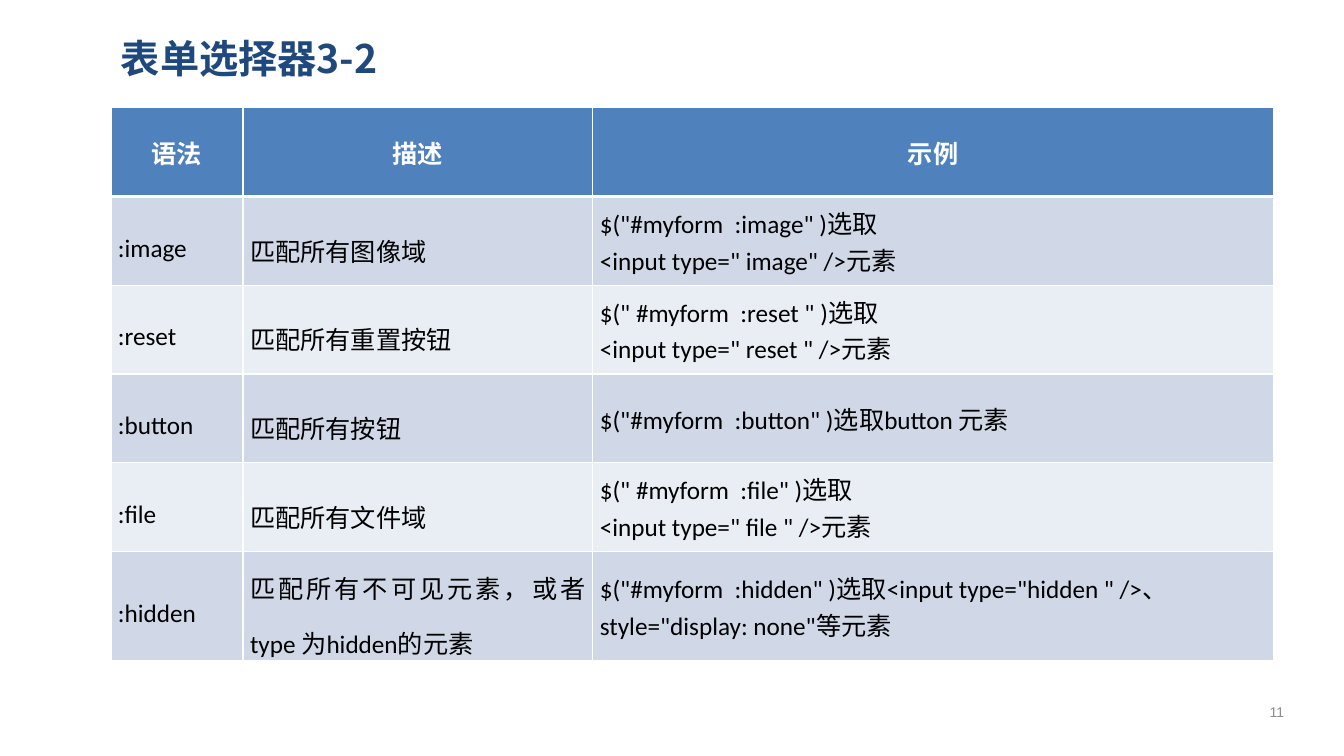
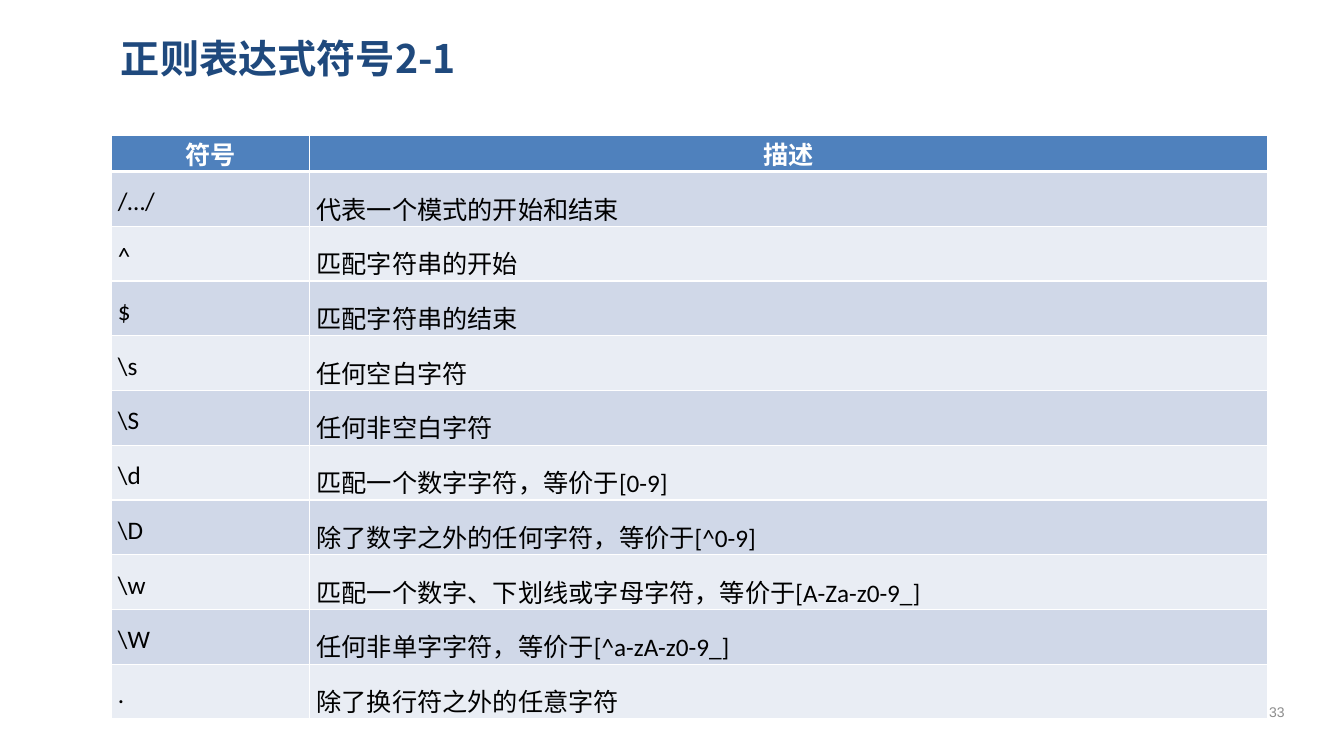
from dataclasses import dataclass

from lxml import etree
from pptx import Presentation
from pptx.dml.color import RGBColor
from pptx.enum.text import MSO_ANCHOR, PP_ALIGN
from pptx.oxml.ns import qn
from pptx.util import Inches, Pt

LEFT, CENTER, JUSTIFY = PP_ALIGN.LEFT, PP_ALIGN.CENTER, PP_ALIGN.JUSTIFY
TOP, MIDDLE = MSO_ANCHOR.TOP, MSO_ANCHOR.MIDDLE
TITLE_ONLY = 5


@dataclass(frozen=True)
class Theme:
    title_color: str = "1F497D"
    header_fill: str = "4F81BD"
    band_fills: tuple = ("D0D8E8", "E9EDF4")
    white: str = "FFFFFF"
    body_color: str = "000000"
    number_color: str = "8C8C8C"
    asian_font: str = "Noto Sans CJK SC"
    table_font: str = "Calibri"
    number_font: str = "Arial"
    title_size: int = 28
    table_size: int = 18
    number_size: int = 10
    thin_border: int = 1
    thick_border: int = 3


THEME = Theme()

# Character formats
TITLE_TEXT = {"name": THEME.asian_font, "size": Pt(THEME.title_size),
              "bold": True, "color": THEME.title_color}
HEADER_TEXT = {"name": THEME.table_font, "size": Pt(THEME.table_size),
               "bold": True, "color": THEME.white}
BODY_TEXT = {**HEADER_TEXT, "bold": False, "color": THEME.body_color}
NUMBER_TEXT = {"name": THEME.number_font, "size": Pt(THEME.number_size),
               "bold": False, "color": THEME.number_color}

# Paragraph formats
HEADER_PARAGRAPH = {"alignment": CENTER}
SPACED_PARAGRAPH = {"alignment": JUSTIFY, "line_spacing": 1.5}
EXAMPLE_PARAGRAPH = {"alignment": LEFT}

# Table contents
FORM_SELECTORS = [
    ("语法", "描述", "示例"),
    (":image", "匹配所有图像域",
     '$("#myform  :image" )选取\n<input type=" image" />元素'),
    (":reset", "匹配所有重置按钮",
     '$(" #myform  :reset " )选取\n<input type=" reset " />元素'),
    (":button", "匹配所有按钮", '$("#myform  :button" )选取button 元素'),
    (":file", "匹配所有文件域",
     '$(" #myform  :file" )选取\n<input type=" file " />元素'),
    (":hidden", "匹配所有不可见元素，或者type 为hidden的元素",
     '$("#myform  :hidden" )选取<input type="hidden " />、'
     'style="display: none"等元素'),
]
REGEX_SYMBOLS = [
    ("符号", "描述"),
    ("/…/", "代表一个模式的开始和结束"),
    ("^", "匹配字符串的开始"),
    ("$", "匹配字符串的结束"),
    (r"\s", "任何空白字符"),
    (r"\S", "任何非空白字符"),
    (r"\d", "匹配一个数字字符，等价于[0-9]"),
    (r"\D", "除了数字之外的任何字符，等价于[^0-9]"),
    (r"\w", "匹配一个数字、下划线或字母字符，等价于[A-Za-z0-9_]"),
    (r"\W", "任何非单字字符，等价于[^a-zA-z0-9_]"),
    (".", "除了换行符之外的任意字符"),
]


def write_text(text_frame, text, text_format, paragraph_format):
    """Write one paragraph per line of text, all in the same format."""
    for index, line in enumerate(text.split("\n")):
        paragraph = text_frame.paragraphs[0] if index == 0 else text_frame.add_paragraph()
        for name, value in paragraph_format.items():
            setattr(paragraph, name, value)
        run = paragraph.add_run()
        run.text = line
        for name, value in text_format.items():
            if name == "color":
                run.font.color.rgb = RGBColor.from_string(value)
            else:
                setattr(run.font, name, value)
        asian = etree.Element(qn("a:ea"), typeface=THEME.asian_font)
        run.font._element.find(qn("a:latin")).addnext(asian)


def add_title(slide, text):
    title = slide.shapes.title
    title.left, title.top = Inches(1.1), Inches(0.24)
    title.width, title.height = Inches(11.65), Inches(0.67)
    title.text_frame.vertical_anchor = MIDDLE
    write_text(title.text_frame, text, TITLE_TEXT, {"alignment": LEFT})


def add_slide_number(slide, number):
    box = slide.shapes.add_textbox(Inches(12.34), Inches(6.86), Inches(0.65), Inches(0.4))
    box.text_frame.word_wrap = True
    box.text_frame.vertical_anchor = MIDDLE
    write_text(box.text_frame, str(number), NUMBER_TEXT, {"alignment": CENTER})


def set_borders(cell, row_index):
    """Thin white borders, with a thick one under the header row."""
    thick_side = {0: "lnB", 1: "lnT"}.get(row_index)
    for side in ("lnL", "lnR", "lnT", "lnB"):
        width = THEME.thick_border if side == thick_side else THEME.thin_border
        line = etree.SubElement(cell._tc.get_or_add_tcPr(), qn(f"a:{side}"), w=str(Pt(width)))
        fill = etree.SubElement(line, qn("a:solidFill"))
        etree.SubElement(fill, qn("a:srgbClr"), val=THEME.white)


def format_cell(cell, row_index, anchor):
    cell.margin_left = cell.margin_right = Inches(0.07)
    cell.margin_top = cell.margin_bottom = 0
    cell.vertical_anchor = anchor
    set_borders(cell, row_index)
    color = THEME.band_fills[(row_index - 1) % 2] if row_index else THEME.header_fill
    cell.fill.solid()
    cell.fill.fore_color.rgb = RGBColor.from_string(color)


def add_banded_table(slide, top, rows, widths, heights, column_formats, anchor):
    frame = slide.shapes.add_table(len(rows), len(widths), Inches(1.1), Inches(top),
                                   Inches(sum(widths)), Inches(sum(heights)))
    table = frame.table
    for column, width in zip(table.columns, widths):
        column.width = Inches(width)
    for row, height in zip(table.rows, heights):
        row.height = Inches(height)
    for row_index, texts in enumerate(rows):
        for column_index, text in enumerate(texts):
            cell = table.cell(row_index, column_index)
            format_cell(cell, row_index, anchor)
            if row_index == 0:
                write_text(cell.text_frame, text, HEADER_TEXT, HEADER_PARAGRAPH)
            else:
                write_text(cell.text_frame, text, BODY_TEXT, column_formats[column_index])


def add_table_slide(presentation, title, number, **table_format):
    slide = presentation.slides.add_slide(presentation.slide_layouts[TITLE_ONLY])
    add_title(slide, title)
    add_banded_table(slide, **table_format)
    add_slide_number(slide, number)


def main():
    presentation = Presentation()
    presentation.slide_width, presentation.slide_height = Inches(13.33), Inches(7.5)

    # Form selectors
    add_table_slide(
        presentation, "表单选择器3-2", 11, top=1.07, rows=FORM_SELECTORS,
        widths=[1.31, 3.47, 6.75], heights=[0.88] * 5 + [0.94],
        column_formats=[SPACED_PARAGRAPH, SPACED_PARAGRAPH, EXAMPLE_PARAGRAPH],
        anchor=MIDDLE)

    # Regular expression symbols
    add_table_slide(
        presentation, "正则表达式符号2-1", 33, top=1.34, rows=REGEX_SYMBOLS,
        widths=[1.97, 9.5], heights=[0.25] + [0.5] * 2 + [0.53] * 8,
        column_formats=[SPACED_PARAGRAPH] * 2, anchor=TOP)

    presentation.save("out.pptx")


if __name__ == "__main__":
    main()
